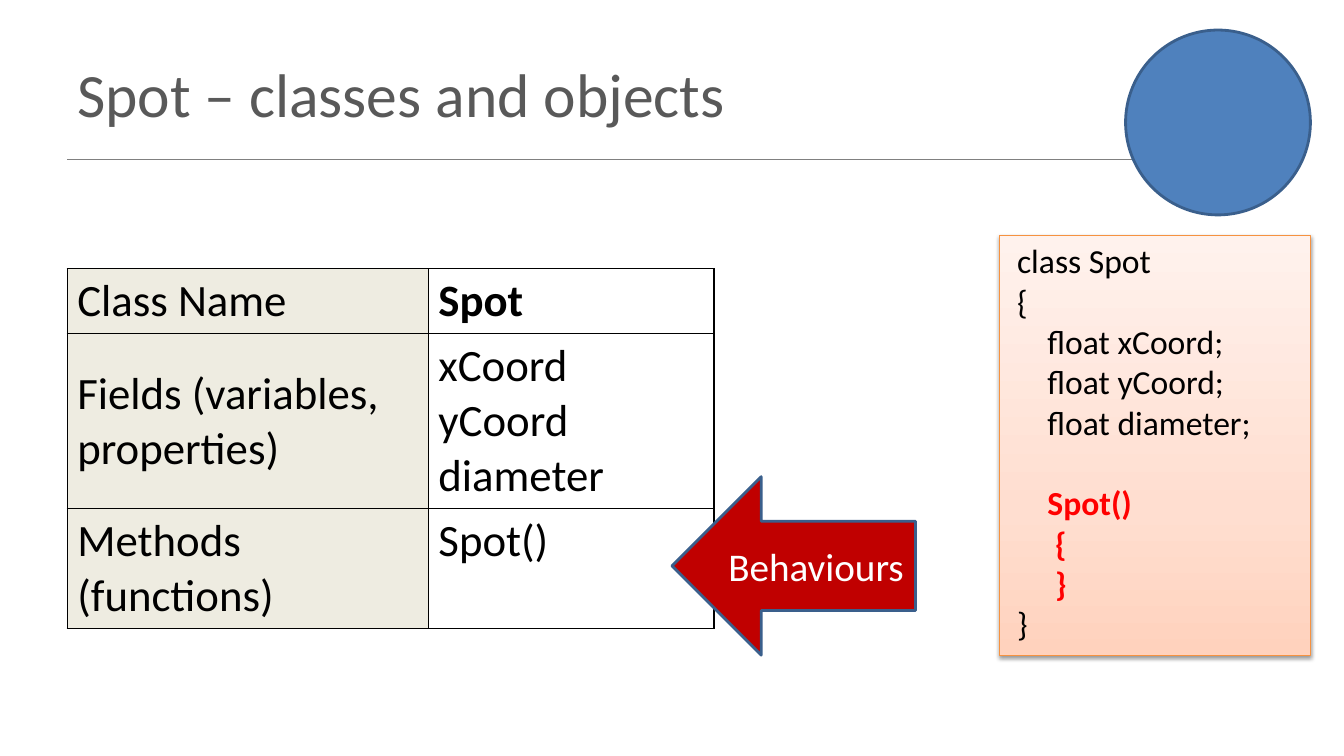
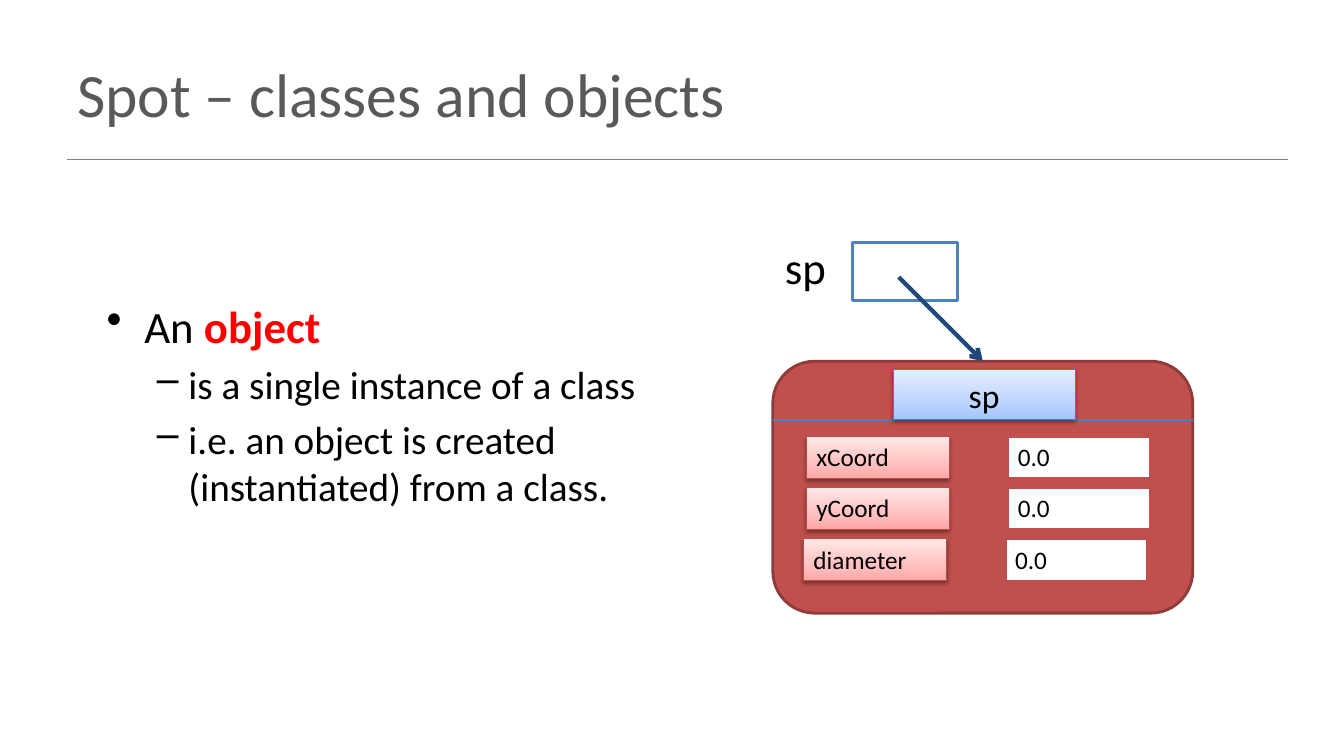
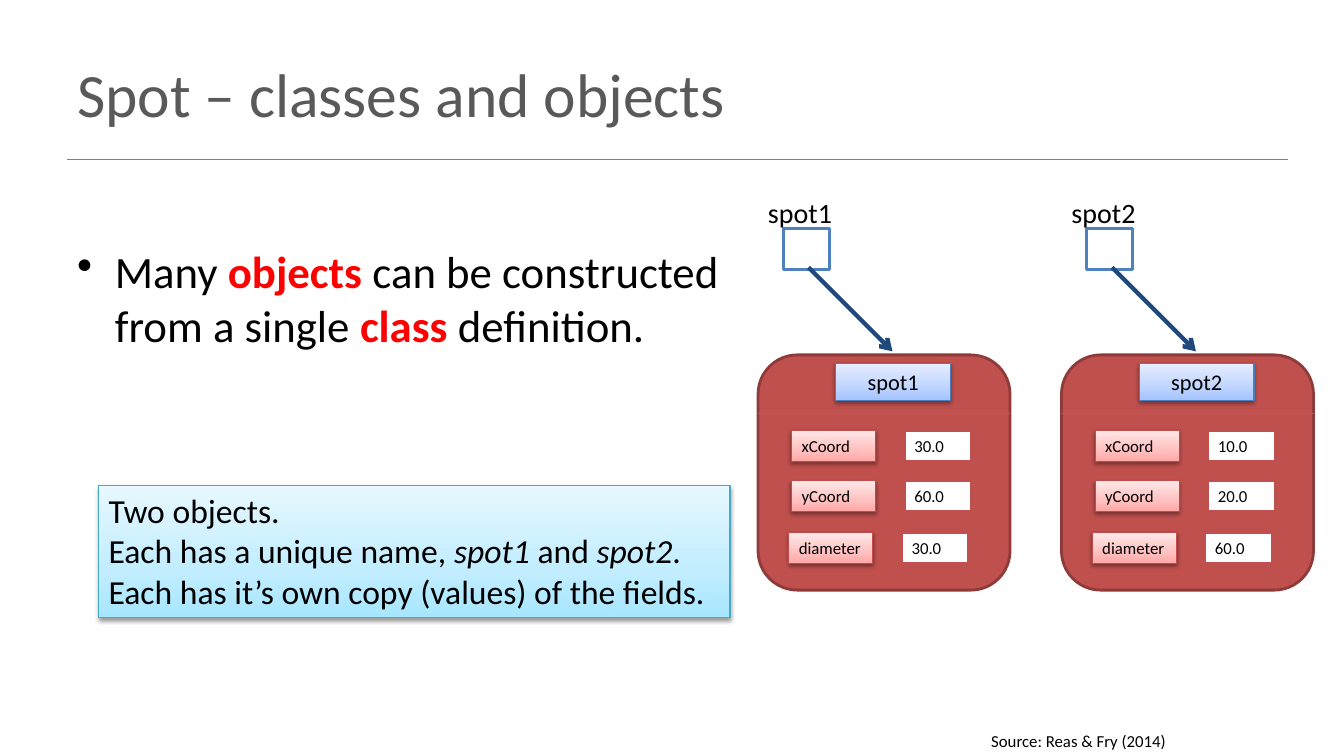
import copy

import pptx
import pptx.dml.color
import pptx.enum.shapes
import pptx.enum.text
import pptx.oxml
import pptx.oxml.ns
import pptx.oxml.xmlchemy
import pptx.util

Pt = pptx.util.Pt
SHAPE = pptx.enum.shapes.MSO_SHAPE
ALIGN = pptx.enum.text.PP_ALIGN
MIDDLE = pptx.enum.text.MSO_ANCHOR.MIDDLE
TOP = pptx.enum.text.MSO_ANCHOR.TOP
qn = pptx.oxml.ns.qn
new_element = pptx.oxml.xmlchemy.OxmlElement

FONT = "Calibri"
COLOURS = {
    "title": "595959", "rule": "808080", "text": "000000", "white": "FFFFFF",
    "accent": "FF0000", "spot": "4F81BD", "outline": "3A5F8C", "arrow": "C00000",
    "label": "EEECE1", "card": "C0504D", "card_line": "8E3B39",
    "divider": "4B7EBC", "pointer": "1F497D",
}
GRADIENTS = {
    "code": (("FFD2BD", "FFDED0", "FFF2ED"), "F69240"),
    "field": (("FFA6A5", "FFC0BF", "FFE7E7"), "BF4C48"),
    "name": (("A4C4FF", "BFD4FF", "E6EEFF"), "4B7EBC"),
    "note": (("A7E6FF", "C1EDFF", "E7F8FF"), "46AAC5"),
}
STOP_POSITIONS = (0, 0.35, 1)

TITLE = "Spot – classes and objects"
CLASS_ROWS = [
    ("Class Name", "Spot", 46.5),
    ("Fields (variables, properties)", "xCoord\nyCoord\ndiameter", 125),
    ("Methods (functions)", "Spot()", 85.5),
]
CLASS_COLUMNS = (258, 204)
CODE = [
    (" class Spot", ""),
    (" {", ""),
    ("     float xCoord;", ""),
    ("     float yCoord;", ""),
    ("     float diameter;", ""),
    ("", ""),
    ("     Spot()", "key"),
    ("      {", "key"),
    ("      }", "key"),
    (" }", ""),
]
OBJECT_BULLETS = [
    (0, [("An ", ""), ("object", "key")]),
    (1, [("is a single instance of a class", "")]),
    (1, [("i.e. an object is created (instantiated) from a class.", "")]),
]
MANY_BULLETS = [
    (0, [("Many ", ""), ("objects", "key"), (" can be constructed ", ""), ("\n", ""),
         ("from a single ", ""), ("class", "key"), (" definition.", "")]),
]
NOTE = [
    [("Two objects.", "")],
    [("Each has a unique name, ", ""), ("spot1", "italic"), (" and ", ""),
     ("spot2", "italic"), (".", "")],
    [("Each has it’s own copy (values) of the fields.", "")],
]
SOURCE = "Source: Reas & Fry (2014)"
BULLET_LEVELS = [("•", 32, 27, 27), ("–", 28, 58.5, 22.5)]

FIELDS = [("xCoord", 24, 54), ("yCoord", 24, 90), ("diameter", 22, 127)]
SINGLE = {
    "top": 258, "size": (300, 180), "name": (86, 6, 130, 36), "name_size": 24,
    "field": (102, 30), "value_shift": 144, "value_width": 102, "field_size": 18,
    "variable": (57, -84.5, 75, 41), "label": (1.5, -90, 55.5, 46), "label_size": 32,
    "arrow": (90, -60, 150, 0),
}
PAIR = {
    "top": 253.5, "size": (180, 168), "name": (55.5, 6, 82, 26.5), "name_size": 16,
    "field": (60, 22), "value_shift": 80.5, "value_width": 48, "field_size": 12,
    "variable": (18, -90, 33, 29), "label": (0, -117.5, 69, 31.5), "label_size": 20,
    "arrow": (36, -62.5, 96, -2.5),
}
PAIR_OBJECTS = [("spot1", ("30.0", "60.0", "30.0")), ("spot2", ("10.0", "20.0", "60.0"))]


def rgb(name):
    return pptx.dml.color.RGBColor.from_string(COLOURS.get(name, name))


def points(values):
    return [Pt(value) for value in values]


def style_run(run, size, colour="text", style=""):
    font = run.font
    font.name, font.size = FONT, Pt(size)
    font.bold, font.italic = style in ("key", "bold"), style == "italic"
    font.color.rgb = rgb("accent" if style == "key" else colour)


def add_pieces(paragraph, pieces, size, colour="text"):
    for text, style in pieces:
        if text == "\n":
            paragraph.add_line_break()
        elif text:
            run = paragraph.add_run()
            run.text = text
            style_run(run, size, colour, style)
        else:
            paragraph._p.get_or_add_endParaRPr().set("sz", str(size * 100))


def write(frame, lines, size, colour="text", align=ALIGN.LEFT, anchor=TOP):
    frame.word_wrap = True
    frame.vertical_anchor = anchor
    for index, line in enumerate(lines):
        paragraph = frame.paragraphs[0] if index == 0 else frame.add_paragraph()
        paragraph.alignment = align
        add_pieces(paragraph, line, size, colour)


def add_text(slide, box, text, size, **options):
    frame = slide.shapes.add_textbox(*points(box)).text_frame
    write(frame, [[(text, "")]], size, **options)


def add_flat(slide, kind, box, fill, line):
    shape = slide.shapes.add_shape(kind, *points(box))
    shape.shadow.inherit = False
    shape.fill.solid()
    shape.fill.fore_color.rgb = rgb(fill)
    shape.line.color.rgb = rgb(line)
    shape.line.width = Pt(2)
    return shape


def add_glossy(slide, box, look, lines, size, align=ALIGN.LEFT):
    shades, edge = GRADIENTS[look]
    shape = slide.shapes.add_shape(SHAPE.RECTANGLE, *points(box))
    shape.line.color.rgb = rgb(edge)
    shape.line.width = Pt(0.75)
    shape.fill.gradient()
    shape.fill.gradient_angle = 90
    stop_list = shape._element.spPr.find(".//" + qn("a:gsLst"))
    stop_list.append(copy.deepcopy(stop_list[-1]))
    for stop, shade, position in zip(shape.fill.gradient_stops, shades, STOP_POSITIONS):
        stop.color.rgb = rgb(shade)
        stop.position = position
    shape.shadow.inherit = False
    shape._element.spPr.find(qn("a:effectLst")).append(pptx.oxml.parse_xml(
        f'<a:outerShdw {pptx.oxml.ns.nsdecls("a")} blurRad="{Pt(3.1)}" dist="{Pt(1.6)}" '
        'dir="5400000" rotWithShape="0"><a:srgbClr val="000000"><a:alpha val="38000"/>'
        '</a:srgbClr></a:outerShdw>'))
    write(shape.text_frame, lines, size, align=align)


def add_line(slide, ends, colour, width):
    line = slide.shapes.add_connector(
        pptx.enum.shapes.MSO_CONNECTOR.STRAIGHT, *points(ends))
    line.line.color.rgb = rgb(colour)
    line.line.width = Pt(width)
    line._element.spPr.append(new_element("a:effectLst"))
    return line


def add_titled_slide(deck):
    slide = deck.slides.add_slide(deck.slide_layouts[6])
    add_line(slide, (48, 114, 920, 114), "rule", 1)
    add_text(slide, (48, 21.5, 864, 90), TITLE, 44, colour="title", anchor=MIDDLE)
    return slide


def add_bullets(slide, box, bullets):
    frame = slide.shapes.add_textbox(*points(box)).text_frame
    frame.word_wrap = True
    for index, (level, pieces) in enumerate(bullets):
        mark, size, margin, hang = BULLET_LEVELS[level]
        paragraph = frame.paragraphs[0] if index == 0 else frame.add_paragraph()
        paragraph.level = level
        if index:
            paragraph.space_before = Pt(size * 0.2)
        properties = paragraph._p.get_or_add_pPr()
        properties.set("marL", str(Pt(margin)))
        properties.set("indent", str(-Pt(hang)))
        bullet = new_element("a:buChar")
        bullet.set("char", mark)
        properties.append(bullet)
        add_pieces(paragraph, pieces, size)


def add_class_table(slide):
    box = (48, 192, sum(CLASS_COLUMNS), sum(row[2] for row in CLASS_ROWS))
    table = slide.shapes.add_table(len(CLASS_ROWS), 2, *points(box)).table
    table.first_row = table.horz_banding = False
    for column, width in zip(table.columns, CLASS_COLUMNS):
        column.width = Pt(width)
    for r, (label, members, height) in enumerate(CLASS_ROWS):
        table.rows[r].height = Pt(height)
        for c, text in enumerate((label, members)):
            cell = table.cell(r, c)
            cell.text = text
            for paragraph in cell.text_frame.paragraphs:
                style_run(paragraph.runs[0], 32, style="bold" if (r, c) == (0, 1) else "")
            cell.vertical_anchor = MIDDLE if c == 0 and r else TOP
            properties = cell._tc.get_or_add_tcPr()
            for side in "LRTB":
                properties.append(pptx.oxml.parse_xml(
                    f'<a:ln{side} {pptx.oxml.ns.nsdecls("a")} w="{Pt(1)}"><a:solidFill>'
                    f'<a:srgbClr val="{COLOURS["text"]}"/></a:solidFill></a:ln{side}>'))
            if c == 0:
                cell.fill.solid()
                cell.fill.fore_color.rgb = rgb("label")
            else:
                cell.fill.background()


def add_object(slide, left, name, values, plan):
    top, (width, height) = plan["top"], plan["size"]

    def place(box):
        return (left + box[0], top + box[1], *box[2:])

    card = add_flat(slide, SHAPE.ROUNDED_RECTANGLE, (left, top, width, height),
                    "card", "card_line")
    add_line(slide, (left, top + 42, left + width, top + 42), "divider", 0.75)
    add_glossy(slide, place(plan["name"]), "name", [[(name, "")]],
               plan["name_size"], ALIGN.CENTER)
    field_width, field_height = plan["field"]
    for (field, dx, dy), value in zip(FIELDS, values):
        add_glossy(slide, place((dx, dy, field_width, field_height)), "field",
                   [[(field, "")]], plan["field_size"])
        value_box = (dx + plan["value_shift"], dy, plan["value_width"], field_height)
        value_cell = add_flat(slide, SHAPE.RECTANGLE, place(value_box), "white", "card")
        write(value_cell.text_frame, [[(value, "")]], plan["field_size"])
    add_flat(slide, SHAPE.RECTANGLE, place(plan["variable"]), "white", "spot")
    add_text(slide, place(plan["label"]), name, plan["label_size"])
    x1, y1, x2, y2 = plan["arrow"]
    pointer = add_line(slide, (left + x1, top + y1, left + x2, top + y2), "pointer", 3)
    if (x2, y2) == (width / 2, 0):
        pointer.end_connect(card, 0)
    head = new_element("a:tailEnd")
    head.set("type", "arrow")
    pointer.line._get_or_add_ln().append(head)


def build_class_slide(deck):
    slide = add_titled_slide(deck)
    add_class_table(slide)
    add_flat(slide, SHAPE.OVAL, (804, 21.5, 132, 132), "spot", "outline")
    add_glossy(slide, (714, 168, 222, 300), "code", [[line] for line in CODE], 24)
    behaviours = add_flat(slide, SHAPE.LEFT_ARROW, (480, 340.5, 174, 127.5),
                          "arrow", "outline")
    write(behaviours.text_frame, [[("Behaviours", "")]], 28, "white", ALIGN.CENTER, MIDDLE)


def build_object_slide(deck):
    slide = add_titled_slide(deck)
    add_bullets(slide, (69, 209.5, 408, 228), OBJECT_BULLETS)
    add_object(slide, 552, "sp", ("0.0",) * 3, SINGLE)


def build_pair_slide(deck):
    slide = add_titled_slide(deck)
    add_bullets(slide, (48, 170.5, 864, 312), MANY_BULLETS)
    add_text(slide, (402, 518.5, 438, 21.5), SOURCE, 12, align=ALIGN.RIGHT)
    for index, (name, values) in enumerate(PAIR_OBJECTS):
        add_object(slide, 541.5 + 216.75 * index, name, values, PAIR)
    add_glossy(slide, (70.5, 346.5, 451, 94.5), "note", NOTE, 24)


def main():
    deck = pptx.Presentation()
    deck.slide_width, deck.slide_height = Pt(960), Pt(540)
    build_class_slide(deck)
    build_object_slide(deck)
    build_pair_slide(deck)
    deck.save("out.pptx")


if __name__ == "__main__":
    main()
